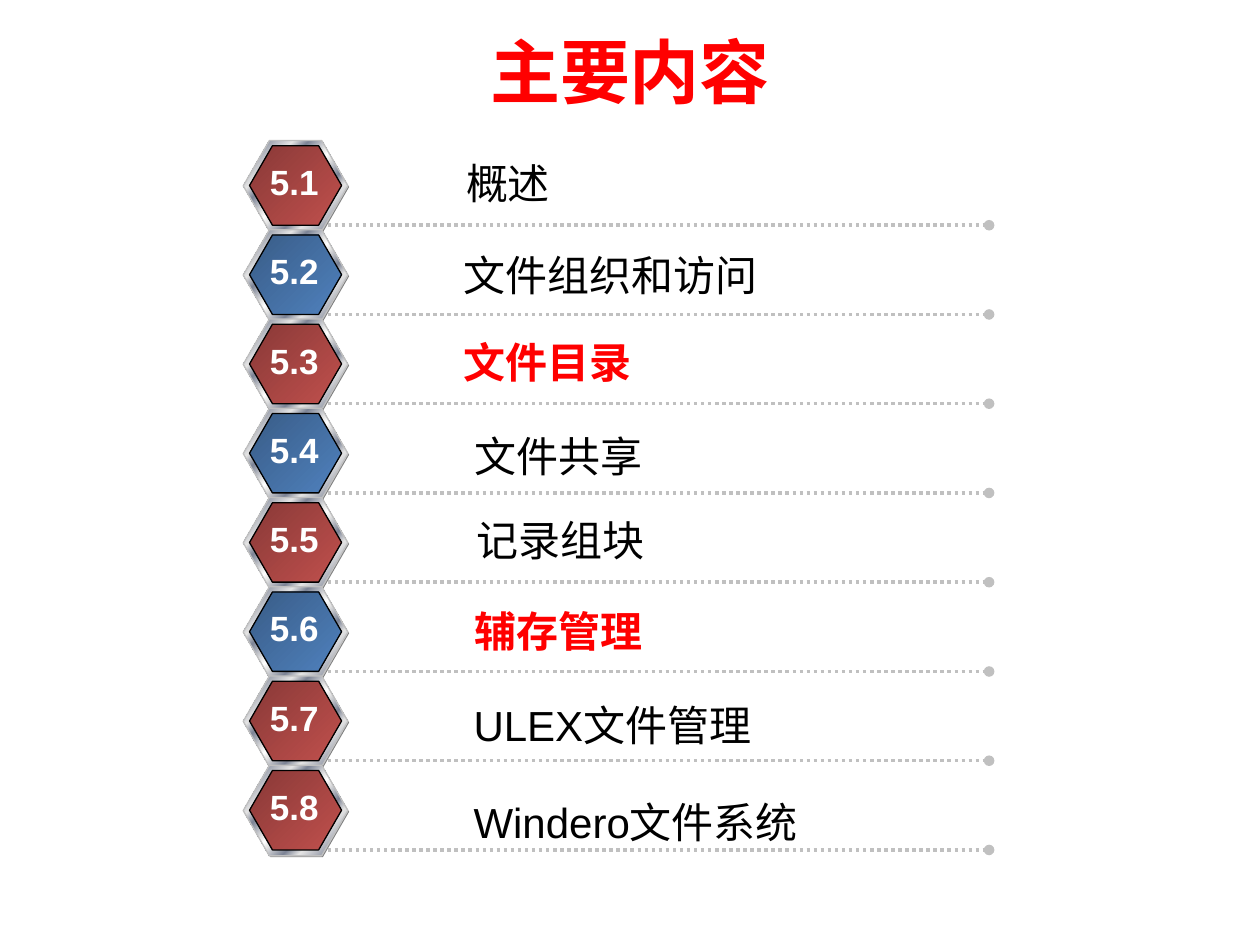
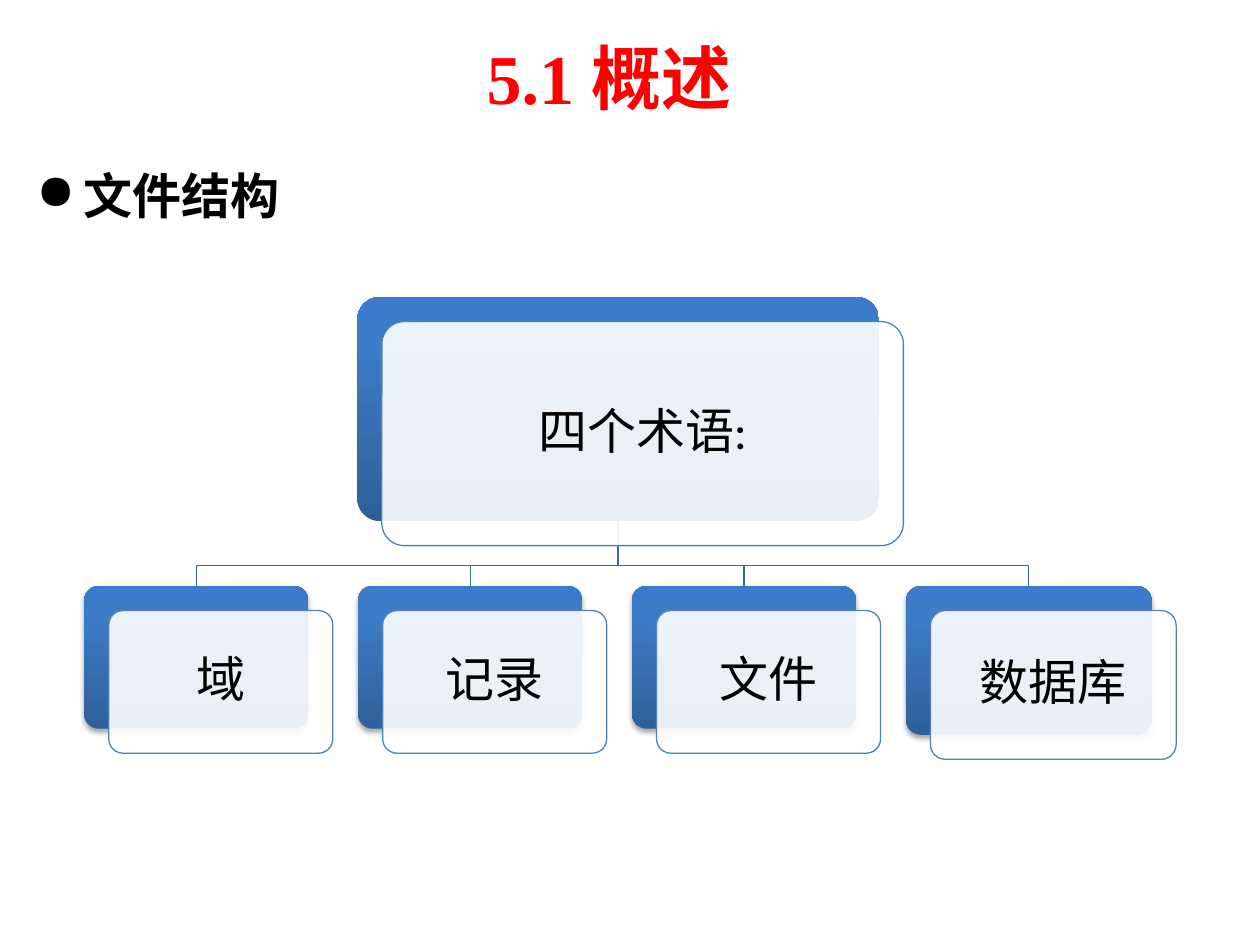
from lxml import etree
from pptx import Presentation
from pptx.dml.color import RGBColor
from pptx.enum import dml, shapes, text
from pptx.oxml import parse_xml
from pptx.oxml.ns import qn
from pptx.util import Pt

COLORS = {
    "title": "FF0000", "ink": "000000", "white": "FFFFFF",
    "rim": "808080", "silver": "C0C0C0",
    "bend": "3F6797", "card_line": "4F81BD",
}
RED = [(0, "893937"), (100, "C0504D")]
BLUE = [(0, "395C87"), (100, "4F81BD")]
CARD = [(0, "2F5F99"), (80, "3D7CC7"), (100, "3A7CCB")]
CHROME = [(0, "E6E6E6"), (8, "7D8496"), (26, "E6E6E6"), (34, "7D8496"),
          (46, "E6E6E6"), (50, "FFFFFF"), (54, "E6E6E6"), (66, "7D8496"),
          (74, "E6E6E6"), (92, "7D8496"), (100, "E6E6E6")]
NS = 'xmlns:a="http://schemas.openxmlformats.org/drawingml/2006/main"'
ROW_PITCH = 51
CARD_OFFSET = 14

TOPICS = [
    ("概述", 259.2, 86.4, RED, False),
    ("文件组织和访问", 257.8, 139, BLUE, False),
    ("文件目录", 257.8, 188.6, RED, True),
    ("文件共享", 264.2, 242.6, BLUE, False),
    ("记录组块", 265, 290.2, RED, False),
    ("辅存管理", 264.2, 342.7, BLUE, True),
    ("ULEX文件管理", 263.5, 396, RED, False),
    ("Windero文件系统", 263.5, 451.4, RED, False),
]
TERMS = [("域", 128, 81.5), ("记录", 128, 81.5),
         ("文件", 128, 81.5), ("数据库", 140.4, 85)]


def rgb(name):
    return RGBColor.from_string(COLORS[name])


def write(sp, content, size, font, color="ink", bold=False, align=None, spacing=None):
    tf = sp.text_frame
    tf.text = content
    tf.word_wrap = True
    p = tf.paragraphs[0]
    p.alignment = align
    p.line_spacing = spacing
    f = p.runs[0].font
    f.size, f.name, f.bold = Pt(size), font, bold
    f.color.rgb = rgb(color)
    return tf


def add_text(s, box, *args, **style):
    return write(s.shapes.add_textbox(*map(Pt, box)), *args, **style)


def add_title(s, box, content):
    tf = add_text(s, box, content, 40, "Times New Roman", "title", True,
                  text.PP_ALIGN.CENTER)
    tf.vertical_anchor = text.MSO_ANCHOR.MIDDLE


def set_gradient(sp, stops, angle):
    stop_xml = "".join(
        f'<a:gs pos="{pos * 1000}"><a:srgbClr val="{color}"/></a:gs>' for pos, color in stops)
    grad = parse_xml(f'<a:gradFill {NS} rotWithShape="1"><a:gsLst>{stop_xml}</a:gsLst>'
                     f'<a:lin ang="{angle * 60000}" scaled="0"/></a:gradFill>')
    sp._element.spPr.find(qn("a:prstGeom")).addnext(grad)


def add_preset(s, kind, box, adjust, fill=None, stops=None, angle=45, line=None):
    sp = s.shapes.add_shape(kind, *map(Pt, box))
    sp.adjustments[0] = adjust
    sp.shadow.inherit = False
    if stops:
        set_gradient(sp, stops, angle)
    else:
        sp.fill.solid()
        sp.fill.fore_color.rgb = rgb(fill)
    if line:
        sp.line.color.rgb = rgb(line)
        sp.line.width = Pt(0.75)
    else:
        sp.line.fill.background()
    return sp


def add_badge(s, number, y, stops):
    hexagon = shapes.MSO_SHAPE.HEXAGON
    add_preset(s, hexagon, (139.7, y + 0.7, 59.8, 51.8), 0.289, fill="rim")
    add_preset(s, hexagon, (139, y, 59.8, 51.8), 0.289, stops=CHROME, line="silver")
    add_preset(s, hexagon, (142.6, y + 3, 52.6, 45.4), 0.289, stops=stops, line="ink")
    tf = add_text(s, (146.9, y + 8, 42.5, 31.7), number, 20, "Arial", "white", True,
                  text.PP_ALIGN.CENTER)
    tf.word_wrap = False


def add_dotted_rule(s, y):
    cx = s.shapes.add_connector(shapes.MSO_CONNECTOR.STRAIGHT,
                                Pt(187.2), Pt(y), Pt(565.2), Pt(y))
    cx.line.color.rgb = rgb("silver")
    cx.line.width = Pt(2)
    cx.line.dash_style = dml.MSO_LINE.ROUND_DOT
    etree.SubElement(cx.line._get_or_add_ln(), qn("a:tailEnd"), type="oval")
    etree.SubElement(cx._element.spPr, qn("a:effectLst"))


def add_bend(s, start, end, turn_y):
    (x1, y1), (x2, y2) = start, end
    fb = s.shapes.build_freeform(Pt(x1), Pt(y1))
    fb.add_line_segments([(Pt(x), Pt(y)) for x, y in
                          ((x1, turn_y), (x2, turn_y), (x2, y2))], close=False)
    sp = fb.convert_to_shape()
    sp.fill.background()
    sp.line.color.rgb = rgb("bend")
    sp.line.width = Pt(0.75)
    sp.shadow.inherit = False


def add_soft_shadow(sp):
    effects = sp._element.spPr.find(qn("a:effectLst"))
    effects.append(parse_xml(
        f'<a:outerShdw {NS} blurRad="{Pt(3.1)}" dist="{Pt(1.8)}" dir="5400000" '
        'rotWithShape="0"><a:srgbClr val="000000"><a:alpha val="35000"/>'
        '</a:srgbClr></a:outerShdw>'))


def add_card(s, label, x, y, w, h, shadow=True):
    rounded = shapes.MSO_SHAPE.ROUNDED_RECTANGLE
    back = add_preset(s, rounded, (x, y, w, h), 0.1, stops=CARD, angle=270)
    if shadow:
        add_soft_shadow(back)
    front = add_preset(s, rounded, (x + CARD_OFFSET, y + CARD_OFFSET, w, h), 0.1,
                       fill="white", line="card_line")
    color = front._element.spPr.find(qn("a:solidFill"))[0]
    etree.SubElement(color, qn("a:alpha"), val="90000")
    tf = write(front, label, 28, "Calibri", align=text.PP_ALIGN.CENTER, spacing=0.9)
    tf.vertical_anchor = text.MSO_ANCHOR.MIDDLE


def add_bullet(s, box, content):
    tf = add_text(s, box, content, 28, "Times New Roman", bold=True, spacing=1.25)
    pPr = tf.paragraphs[0]._p.get_or_add_pPr()
    pPr.set("marL", str(Pt(27)))
    pPr.set("indent", str(Pt(-27)))
    etree.SubElement(pPr, qn("a:buChar"), char="●")


def build_contents(s):
    add_title(s, (36, 3.6, 648, 73.4), "主要内容")
    for i, (topic, x, y, stops, current) in enumerate(TOPICS):
        row_y = 80.3 + i * ROW_PITCH
        add_badge(s, f"5.{i + 1}", row_y, stops)
        add_dotted_rule(s, row_y + 48.4)
        add_text(s, (x, y, 250, 36), topic, 24, "Arial",
                 "title" if current else "ink", current)


def build_overview(s):
    add_title(s, (66.2, 21.6, 563.8, 44.6), "5.1 概述")
    root_x, root_y, root_w, root_h = 204.2, 169.8, 298, 128
    term_y, term_pitch = 334.9, 156.5
    root_foot = (root_x + root_w / 2, root_y + root_h)
    cards = [(label, 48.2 + i * term_pitch, term_y, w, h)
             for i, (label, w, h) in enumerate(TERMS)]
    for _, x, y, w, _ in cards:
        add_bend(s, root_foot, (x + w / 2, y), 323.2)
    add_card(s, "四个术语:", root_x, root_y, root_w, root_h, shadow=False)
    for card in cards:
        add_card(s, *card)
    add_bullet(s, (13.7, 82.8, 658, 69.8), "文件结构")


def main():
    prs = Presentation()
    prs.slide_width, prs.slide_height = Pt(720), Pt(540)
    for build in (build_contents, build_overview):
        build(prs.slides.add_slide(prs.slide_layouts[6]))
    prs.save("out.pptx")


if __name__ == "__main__":
    main()
